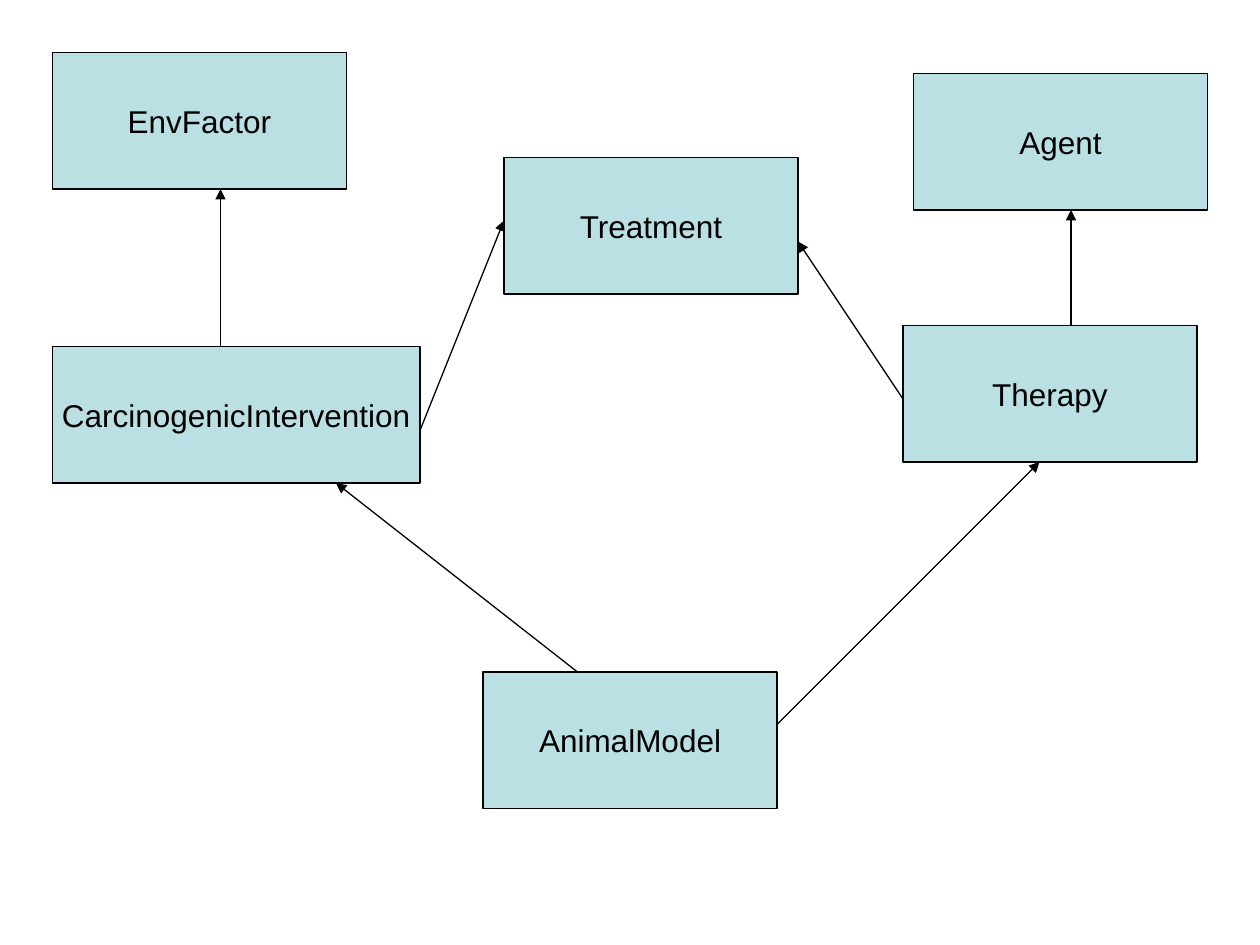
"""Builds a class diagram of an animal model and its treatments."""
import pptx
import pptx.dml.color
import pptx.enum.shapes
import pptx.enum.text
import pptx.oxml
import pptx.oxml.ns
import pptx.util

COLOURS = {"box": "BBE0E3", "ink": "000000"}
CELL = pptx.util.Inches(1) / 12
CLASS_WIDTH, CLASS_HEIGHT = 28, 13
FONT_FORMAT = {"name": "Arial", "size": pptx.util.Pt(18)}
FRAME_FORMAT = {
    "word_wrap": False,
    "vertical_anchor": pptx.enum.text.MSO_ANCHOR.MIDDLE,
}
CLASSES = [
    ("AnimalModel", 46, 64, CLASS_WIDTH),
    ("Therapy", 86, 31, CLASS_WIDTH),
    ("Agent", 87, 7, CLASS_WIDTH),
    ("CarcinogenicIntervention", 5, 33, 35),
    ("EnvFactor", 5, 5, CLASS_WIDTH),
    ("Treatment", 48, 15, CLASS_WIDTH),
]
RELATIONS = [
    ((55, 64), (32, 46)),
    ((21, 33), (21, 18)),
    ((40, 41), (48, 21)),
    ((74, 69), (99, 44)),
    ((86, 38), (76, 23)),
    ((102, 31), (102, 20)),
]


def grid(*cells):
    """Return lengths for counts of grid cells."""
    return [round(cell * CELL) for cell in cells]


def colour(name):
    """Return a named colour."""
    return pptx.dml.color.RGBColor.from_string(COLOURS[name])


def apply_format(target, values):
    """Set each attribute in values on target."""
    for attribute, value in values.items():
        setattr(target, attribute, value)


def style_line(line):
    """Give an outline or arrow its ink and width."""
    line.color.rgb = colour("ink")
    line.width = pptx.util.Pt(0.75)


def add_class(slide, label, column, row, width):
    """Add a labelled class box."""
    box = slide.shapes.add_shape(
        pptx.enum.shapes.MSO_SHAPE.RECTANGLE,
        *grid(column, row, width, CLASS_HEIGHT))
    box.shadow.inherit = False
    box.fill.solid()
    box.fill.fore_color.rgb = colour("box")
    style_line(box.line)
    apply_format(box.text_frame, FRAME_FORMAT)
    paragraph = box.text_frame.paragraphs[0]
    paragraph.alignment = pptx.enum.text.PP_ALIGN.CENTER
    name = paragraph.add_run()
    name.text = label
    apply_format(name.font, FONT_FORMAT)
    name.font.color.rgb = colour("ink")


def add_relation(slide, start, end):
    """Add an arrow between two grid points."""
    arrow = slide.shapes.add_connector(
        pptx.enum.shapes.MSO_CONNECTOR.STRAIGHT, *grid(*start, *end))
    style_line(arrow.line)
    properties = arrow.element.spPr
    outline = properties.find(pptx.oxml.ns.qn("a:ln"))
    namespace = pptx.oxml.ns.nsdecls("a")
    outline.append(pptx.oxml.parse_xml(f'<a:tailEnd {namespace} type="triangle"/>'))
    properties.append(pptx.oxml.parse_xml(f"<a:effectLst {namespace}/>"))


def main():
    """Build and save the diagram."""
    deck = pptx.Presentation()
    deck.slide_width, deck.slide_height = grid(120, 90)
    slide = deck.slides.add_slide(deck.slide_layouts.get_by_name("Blank"))
    for entry in CLASSES:
        add_class(slide, *entry)
    for start, end in RELATIONS:
        add_relation(slide, start, end)
    deck.save("out.pptx")


if __name__ == "__main__":
    main()
